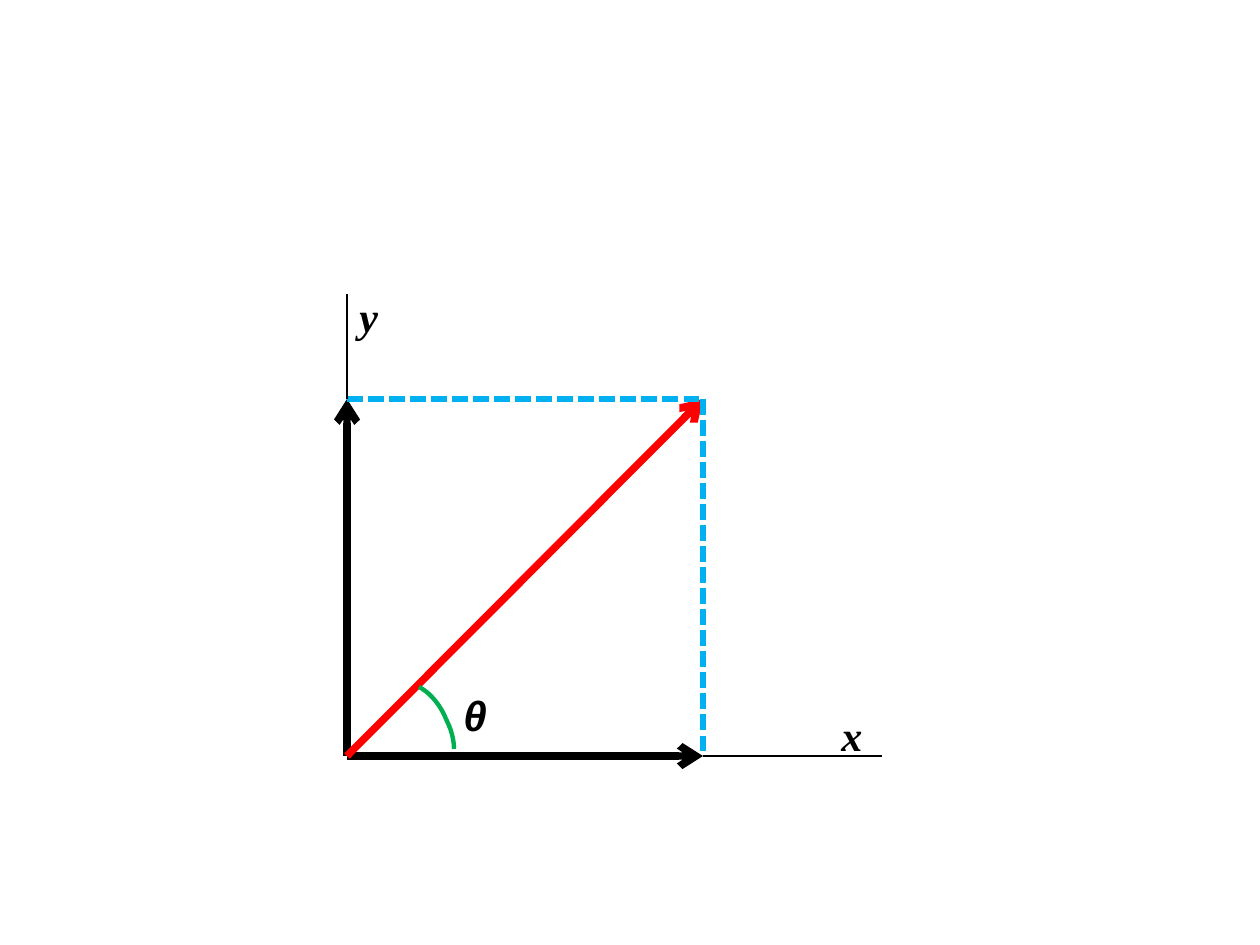
"""Draw a vector, its x and y components and the angle between them."""
from lxml import etree
from pptx import Presentation
from pptx import util as u
from pptx.dml.color import RGBColor
from pptx.enum import dml, shapes, text
from pptx.oxml.ns import qn

SCALE = 914400 / 126
BLACK, RED, BLUE, GREEN = "000000", "FF0000", "00B0F0", "00B050"


def px(length):
    return u.Emu(round(length * SCALE))


def color(value):
    return RGBColor.from_string(value)


deck = Presentation()
deck.slide_width, deck.slide_height = px(1260), px(945)
slide = deck.slides.add_slide(deck.slide_layouts[6])

origin, tip = (347, 756), (703, 399)
x_foot, y_foot = (tip[0], origin[1]), (origin[0], tip[1])
segments = [
    (origin, x_foot, BLACK, 4.25, "arrow"),
    (origin, y_foot, BLACK, 4.25, "arrow"),
    (origin, tip, RED, 4.25, "arrow"),
    (y_foot, tip, BLUE, 3, "dash"),
    (tip, x_foot, BLUE, 3, "dash"),
    (x_foot, (882, origin[1]), BLACK, 1.25, "plain"),
    ((origin[0], 294), y_foot, BLACK, 1.25, "plain"),
]
for start, end, hue, width, style in segments:
    segment = slide.shapes.add_connector(
        shapes.MSO_CONNECTOR.STRAIGHT, *map(px, start + end))
    segment.line.color.rgb = color(hue)
    segment.line.width = u.Pt(width)
    if style == "dash":
        segment.line.dash_style = dml.MSO_LINE.SQUARE_DOT
    if style == "arrow":
        etree.SubElement(segment.line._ln, qn("a:tailEnd"), type="arrow")
    etree.SubElement(segment._element.spPr, qn("a:effectLst"))

curves = [
    ((454, 749), (454, 739), (451, 729), (446, 719)),
    ((446, 719), (440, 704), (429, 692), (419, 687)),
]
steps = 12
arc_points = []
for curve in curves:
    for step in range(1, steps + 1):
        t = step / steps
        weights = ((1 - t) ** 3, 3 * t * (1 - t) ** 2, 3 * t ** 2 * (1 - t), t ** 3)
        arc_points.append(tuple(
            px(sum(w * point[axis] for w, point in zip(weights, curve)))
            for axis in (0, 1)))
arc_start = curves[0][0]
builder = slide.shapes.build_freeform(px(arc_start[0]), px(arc_start[1]))
builder.add_line_segments(arc_points, close=False)
angle_arc = builder.convert_to_shape()
angle_arc.shadow.inherit = False
angle_arc.fill.background()
angle_arc.line.color.rgb = color(GREEN)
angle_arc.line.width = u.Pt(2.5)

labels = [
    ("θ", 451, 683, 62, "Arial", True),
    ("x", 829, 703, 47, "Times New Roman", False),
    ("y", 347, 284, 44, "Times New Roman", False),
]
for symbol, left, top, width, font_name, wrap in labels:
    label = slide.shapes.add_textbox(px(left), px(top), px(width), px(63))
    frame = label.text_frame
    frame.word_wrap = wrap
    frame.auto_size = text.MSO_AUTO_SIZE.SHAPE_TO_FIT_TEXT
    paragraph = frame.paragraphs[0]
    paragraph.text = symbol
    font = paragraph.font
    font.name, font.size = font_name, u.Pt(24)
    font.bold = font.italic = True
    font.color.rgb = color(BLACK)

deck.save("out.pptx")
